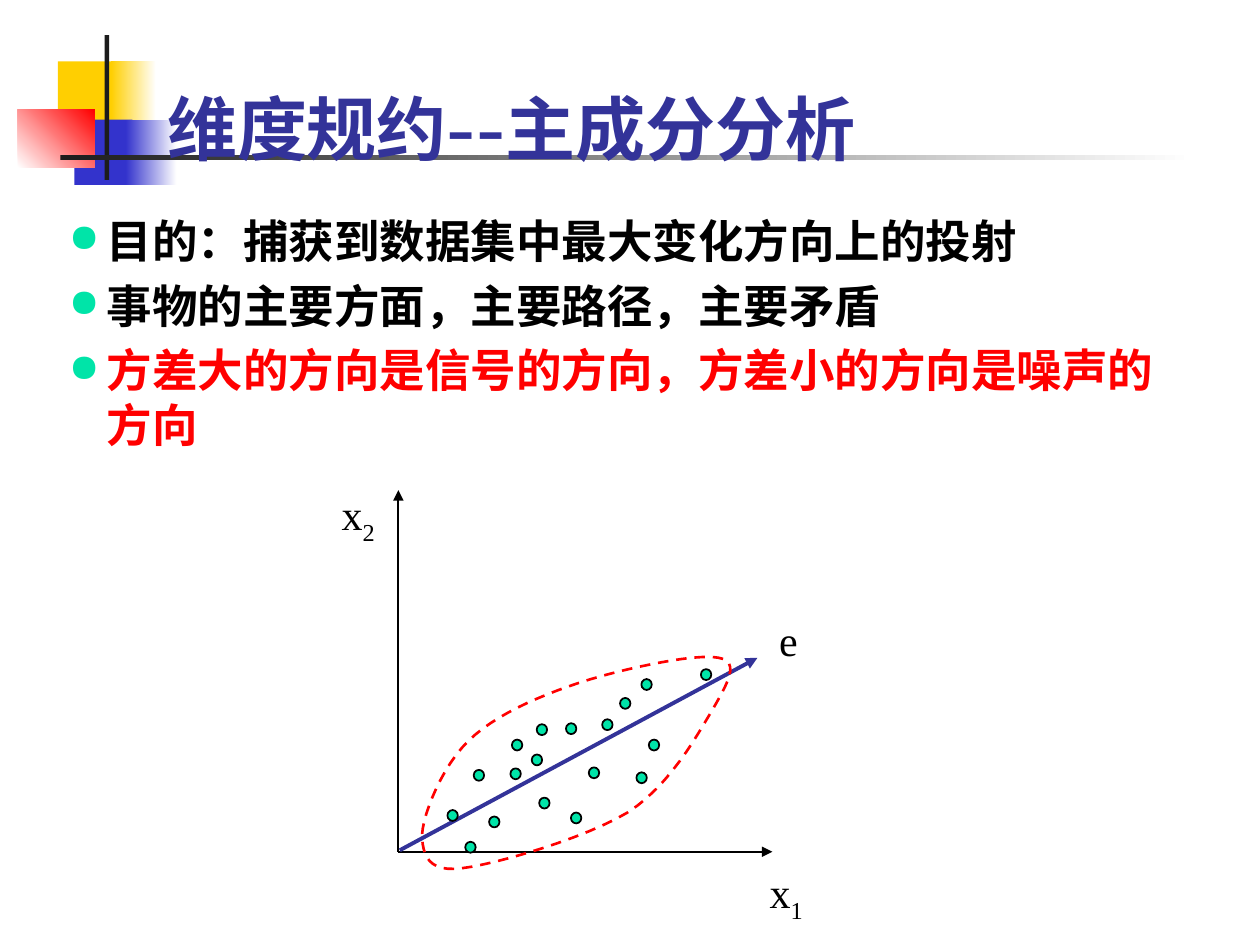
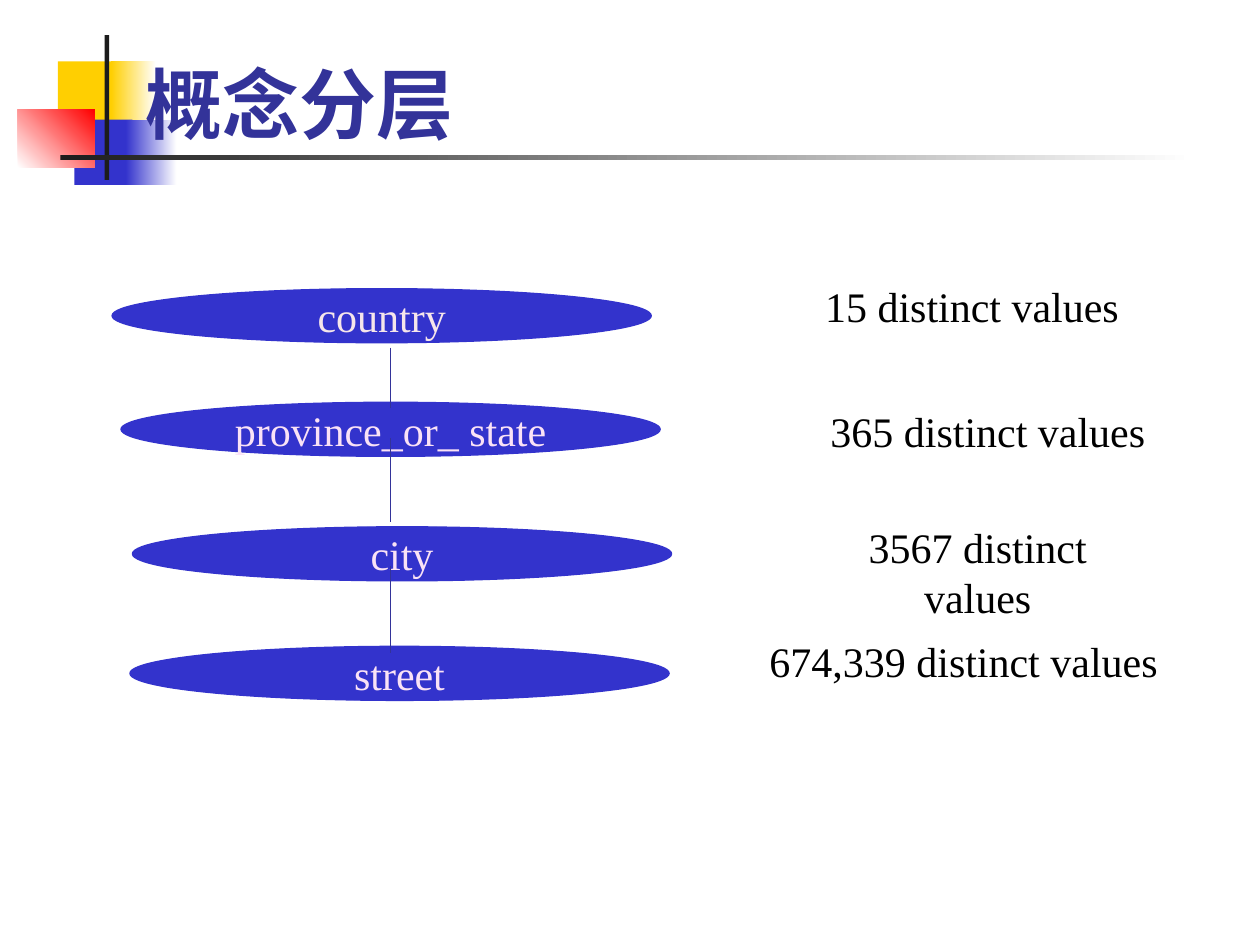
"""Build two slides on dimension reduction and concept hierarchies."""
from lxml import etree
from pptx import Presentation
from pptx import util as u
from pptx.dml.color import RGBColor
from pptx.enum import dml, shapes, text
from pptx.oxml import ns

HUES = {
    "gold": "FFCF01", "blue": "3333CC", "navy": "333399", "red": "FF0000",
    "dark": "1C1C1C", "mint": "00E4A8", "black": "000000", "white": "FFFFFF",
    "blush": "F6E6EA", "pink": "FAE2F6",
}
SANS, SERIF = "Cabin", "Times New Roman"
RECT, OVAL = shapes.MSO_SHAPE.RECTANGLE, shapes.MSO_SHAPE.OVAL

BANDS = [
    ((1.17, 1.24, 1.22, 1.32), ["gold"], 0),
    ((2.24, 1.24, 0.91, 1.32), ["gold", "white"], 0),
    ((1.5, 2.41, 1.17, 1.32), ["blue"], 0),
    ((2.54, 2.41, 1.02, 1.32), ["blue", "white"], 0),
    ((0.36, 2.21, 1.55, 1.17), ["white", "red"], 45),
    ((2.11, 0.71, 0.09, 2.92), ["dark"], 0),
    ((1.22, 3.12, 22.86, 0.1), ["dark", "white"], 0),
]
AIMS = [
    ("目的：捕获到数据集中最大变化方向上的投射", "black"),
    ("事物的主要方面，主要路径，主要矛盾", "black"),
    ("方差大的方向是信号的方向，方差小的方向是噪声的方向", "red"),
]
DOTS = [
    (1.52, 5.64), (2.29, 5.03), (0.99, 6.45), (2.69, 5.33), (2.26, 5.61),
    (3.84, 5.59), (3.48, 6.5), (2.84, 6.2), (3.38, 4.7), (5.05, 5.03),
    (6.1, 3.61), (1.83, 6.58), (4.11, 4.62), (4.9, 3.81), (2.79, 4.72),
    (4.47, 4.19), (4.8, 5.69), (1.35, 7.09),
]
CLOUD = [
    (0.48, 6.93), (0.51, 6.5), (0.89, 5.56), (1.42, 5.05), (1.93, 4.55),
    (2.79, 4.17), (3.63, 3.89), (4.47, 3.61), (6.02, 3.28), (6.45, 3.38),
    (6.91, 3.45), (6.63, 3.91), (6.32, 4.45), (6.02, 4.95), (5.46, 5.97),
    (4.62, 6.5), (3.78, 7.01), (1.98, 7.54), (1.3, 7.62), (0.61, 7.72),
    (0.48, 7.37), (0.48, 6.93),
]
LEVELS = [
    ("country", "blush", (0, 0), "15 distinct values", (14.12, -0.28, 6.43)),
    ("province_or_ state", "pink", (0.18, 2.29), "365 distinct values", (13.87, 2.24, 7.57)),
    ("city", "pink", (0.41, 4.8), "3567 distinct values", (13.82, 4.57, 7.26)),
    ("street", "pink", (0.36, 7.21), "674,339 distinct values", (13, 6.86, 8.33)),
]
LINKS = [(1.19, 2.41), (3, 4.7), (5.59, 7.34)]


def rgb(hue):
    return RGBColor.from_string(HUES[hue])


def cms(nums):
    return [u.Cm(num) for num in nums]


def style(para, size, hue, face=SERIF, bold=False):
    font = para.font
    font.name, font.size, font.bold = face, u.Pt(size), bold
    font.color.rgb = rgb(hue)


def paint(shape, hues, angle=0):
    shape.shadow.inherit = False
    shape.line.fill.background()
    if len(hues) == 1:
        shape.fill.solid()
        shape.fill.fore_color.rgb = rgb(hues[0])
        return
    shape.fill.gradient()
    shape.fill.gradient_angle = angle
    for stop, hue in zip(shape.fill.gradient_stops, hues):
        stop.color.rgb = rgb(hue)


def ink(shape, hue, width):
    shape.line.color.rgb = rgb(hue)
    shape.line.width = u.Pt(width)


def add_oval(slide, box, fill, edge, width):
    oval = slide.shapes.add_shape(OVAL, *cms(box))
    paint(oval, [fill])
    ink(oval, edge, width)
    return oval


def add_line(slide, ends, hue, width, arrow=False):
    line = slide.shapes.add_connector(shapes.MSO_CONNECTOR.STRAIGHT, *cms(ends))
    ink(line, hue, width)
    props = line._element.spPr
    if arrow:
        etree.SubElement(props.find(ns.qn("a:ln")), ns.qn("a:tailEnd"), type="triangle")
    etree.SubElement(props, ns.qn("a:effectLst"))


def add_label(slide, box, words, sub=""):
    frame = slide.shapes.add_textbox(*cms(box)).text_frame
    frame.word_wrap = False
    para = frame.paragraphs[0]
    para.alignment = text.PP_ALIGN.CENTER
    style(para, 24, "black")
    para.add_run().text = words
    if sub:
        run = para.add_run()
        run.text = sub
        run._r.get_or_add_rPr().set("baseline", "-25000")


def add_base(deck, title, box, size):
    slide = deck.slides.add_slide(deck.slide_layouts[6])
    for band, hues, angle in BANDS:
        paint(slide.shapes.add_shape(RECT, *cms(band)), hues, angle)
    frame = slide.shapes.add_textbox(*cms(box)).text_frame
    frame.word_wrap = True
    frame.vertical_anchor = text.MSO_ANCHOR.BOTTOM
    frame.text = title
    style(frame.paragraphs[0], size, "navy", SANS, True)
    return slide


def add_bullet(para):
    props = para._p.get_or_add_pPr()
    props.set("marL", str(u.Cm(0.76)))
    props.set("indent", str(u.Cm(-0.76)))
    tint = etree.SubElement(props, ns.qn("a:buClr"))
    etree.SubElement(tint, ns.qn("a:srgbClr"), val=HUES["mint"])
    etree.SubElement(props, ns.qn("a:buSzPct"), val="85000")
    etree.SubElement(props, ns.qn("a:buChar"), char="●")


def add_aims(slide, box):
    frame = slide.shapes.add_textbox(*cms(box)).text_frame
    frame.word_wrap = True
    for num, (words, hue) in enumerate(AIMS):
        para = frame.add_paragraph() if num else frame.paragraphs[0]
        para.text = words
        para.space_before = u.Pt(5.8)
        add_bullet(para)
        style(para, 26, hue, SANS, True)


def trace(knots, steps=12):
    """Sample a chain of cubic curves."""
    spots = [knots[0]]
    for at in range(0, len(knots) - 1, 3):
        for step in range(1, steps + 1):
            t = step / steps
            parts = ((1 - t) ** 3, 3 * t * (1 - t) ** 2, 3 * t * t * (1 - t), t ** 3)
            spots.append(tuple(
                sum(part * knot[axis] for part, knot in zip(parts, knots[at:at + 4]))
                for axis in (0, 1)))
    return spots


def add_cloud(slide, left, top):
    spots = [cms((left + x, top + y)) for x, y in trace(CLOUD)]
    pen = slide.shapes.build_freeform(*spots[0])
    pen.add_line_segments(spots[1:], close=True)
    cloud = pen.convert_to_shape()
    cloud.shadow.inherit = False
    cloud.fill.background()
    ink(cloud, "red", 1.5)
    cloud.line.dash_style = dml.MSO_LINE.DASH


def add_plot(slide, box):
    left, top, wide, high = box
    base = top + high
    add_line(slide, (left, base, left, top), "black", 1, True)
    add_line(slide, (left, base, left + wide, base), "black", 1, True)
    add_line(slide, (left + 0.03, base - 0.03, left + 7.24, top + 3.38), "navy", 2.25, True)
    for x, y in DOTS:
        add_oval(slide, (left + x, top + y, 0.21, 0.22), "mint", "black", 1)
    add_cloud(slide, left, top)
    add_label(slide, (left - 1.42, top - 0.15, 1.22, 1.27), "x", "2")
    add_label(slide, (left + 7.21, top + 7.47, 1.22, 1.27), "x", "1")
    add_label(slide, (left + 7.42, top + 2.39, 0.89, 1.27), "e")


def add_tree(slide, box):
    left, top, wide, high = box
    for name, hue, (x, y), count, (side, drop, span) in LEVELS:
        oval = add_oval(slide, (left + x, top + y, wide, high), "blue", "blue", 0.75)
        frame = oval.text_frame
        frame.word_wrap = False
        frame.vertical_anchor = text.MSO_ANCHOR.MIDDLE
        frame.text = name
        para = frame.paragraphs[0]
        para.alignment = text.PP_ALIGN.CENTER
        style(para, 24, hue)
        add_label(slide, (left + side, top + drop, span, 1.27), count)
    mid = left + 5.61
    for start, end in LINKS:
        add_line(slide, (mid, top + start, mid, top + end), "navy", 0.75)


def main():
    deck = Presentation()
    deck.slide_width, deck.slide_height = cms((25.4, 19.05))
    slide = add_base(deck, "维度规约--主成分分析", (3.12, 1.14, 20.8, 2.41), 40)
    add_aims(slide, (1.14, 4.17, 23.11, 13.41))
    add_plot(slide, (8.03, 9.88, 7.54, 7.29))
    slide = add_base(deck, "概念分层", (2.69, 0.71, 20.8, 2.41), 44)
    add_tree(slide, (2.26, 5.82, 10.87, 1.09))
    deck.save("out.pptx")


if __name__ == "__main__":
    main()
